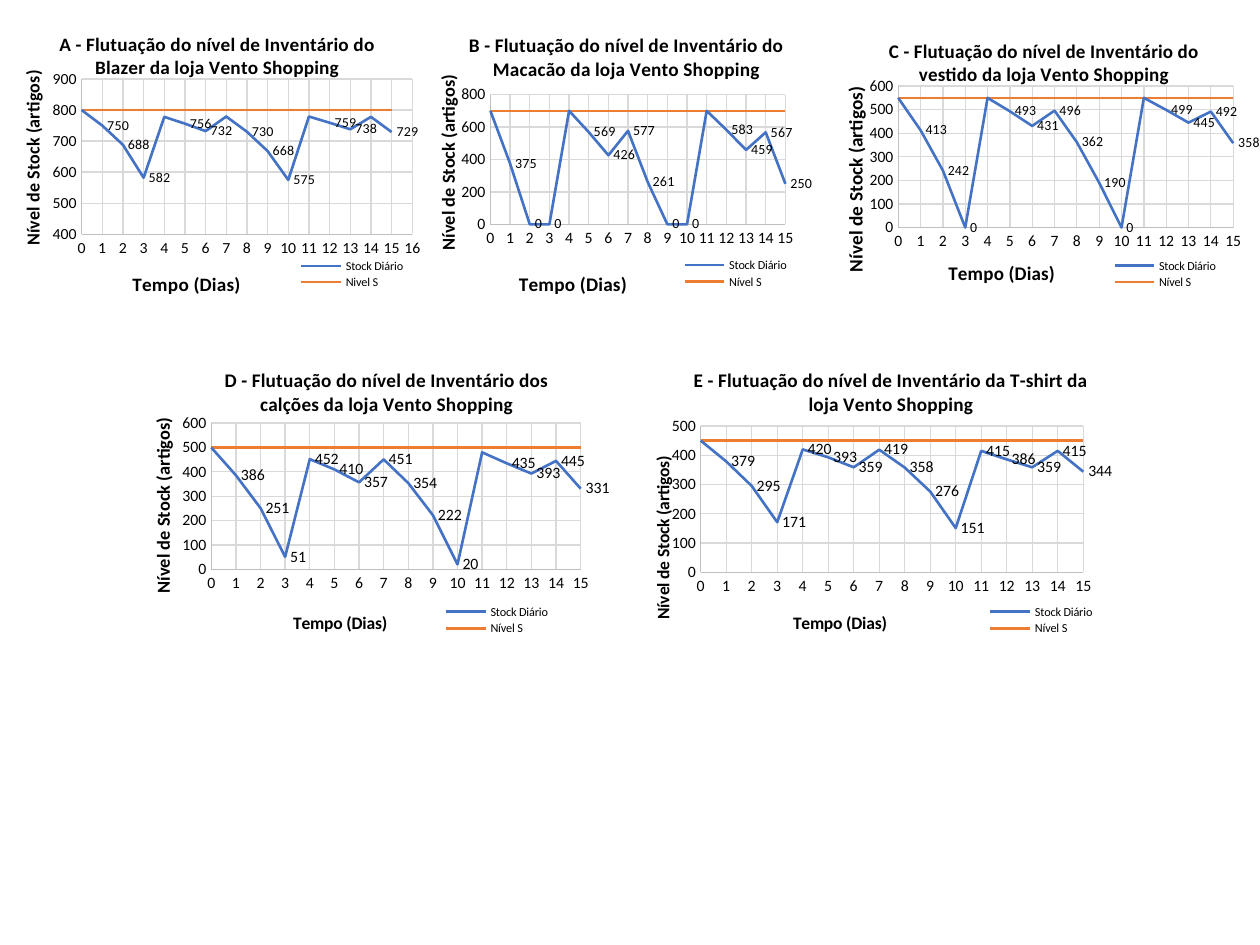
from pptx import Presentation, util as u
from pptx.chart import data as chart_data, datalabel
from pptx.dml.color import RGBColor
from pptx.enum import chart as kinds
from pptx.oxml import parse_xml
from pptx.oxml.ns import nsdecls, qn

COLOURS = {"text": "000000", "axis": "BFBFBF", "grid": "D9D9D9",
           "stock": "4472C4", "level": "ED7D31"}
FONT = "Calibri"

CHARTS = [
    dict(title="A - Flutuação do nível de Inventário do Blazer da loja Vento Shopping",
         frame=(0, 8, 245.5, 165), plot=(0.19, 0.23, 0.77, 0.55), legend=(0.68, 0.86),
         title_at=(0.13, 0.05), x_title=(0.3, 0.9), y_title=(0.04, 0.2),
         sizes=(11, 10.5, 8), x_max=16, y_min=400, level="Nivel S",
         stock=[800, 750, 688, 582, 778, 756, 732, 779, 730, 668, 575, 779, 759, 738, 778, 729],
         unlabelled=(0, 4, 7, 11, 14)),
    dict(title="B - Flutuação do nível de Inventário do Macacão da loja Vento Shopping",
         frame=(237.5, 8, 237.5, 165), plot=(0.18, 0.28, 0.71, 0.45), legend=(0.63, 0.84),
         title_at=(0.12, 0.05), x_title=(0.24, 0.88), y_title=(0.04, 0.2),
         sizes=(11, 10.5, 8), x_max=15, y_min=None, level="Nível S",
         stock=[700, 375, 0, 0, 700, 569, 426, 577, 261, 0, 0, 700, 583, 459, 567, 250],
         unlabelled=(0, 4, 11)),
    dict(title="C - Flutuação do nível de Inventário do vestido da loja Vento Shopping",
         frame=(474.5, 8, 245.5, 165), plot=(0.16, 0.25, 0.79, 0.49), legend=(0.65, 0.84),
         title_at=(0.13, 0.07), x_title=(0.27, 0.84), y_title=(0.02, 0.23),
         sizes=(11, 11, 8), x_max=15, y_min=None, level="Nível S",
         stock=[550, 413, 242, 0, 550, 493, 431, 496, 362, 190, 0, 550, 499, 445, 492, 358],
         unlabelled=(0, 4, 11)),
    dict(title="D - Flutuação do nível de Inventário dos calções da loja Vento Shopping",
         frame=(78.5, 197.5, 281.5, 170.5), plot=(0.15, 0.26, 0.75, 0.49), legend=(0.59, 0.86),
         title_at=(0.17, 0.06), x_title=(0.31, 0.88), y_title=(0.02, 0.23),
         sizes=(10, 10.5, 9), x_max=15, y_min=None, level="Nível S",
         stock=[500, 386, 251, 51, 452, 410, 357, 451, 354, 222, 20, 480, 435, 393, 445, 331],
         unlabelled=(0, 11)),
    dict(title="E - Flutuação do nível de Inventário da T-shirt da loja Vento Shopping",
         frame=(355.5, 197.5, 299.5, 170.5), plot=(0.15, 0.27, 0.73, 0.49), legend=(0.66, 0.86),
         title_at=(0.13, 0.06), x_title=(0.32, 0.88), y_title=(0.05, 0.36),
         sizes=(10, 10, 9), x_max=15, y_min=None, level="Nível S",
         stock=[450, 379, 295, 171, 420, 393, 359, 419, 358, 276, 151, 415, 386, 359, 415, 344],
         unlabelled=(0,)),
]


def set_values(target, values):
    for name, value in values.items():
        setattr(target, name, value)


def style_font(font, size, bold=False):
    set_values(font, {"name": FONT, "size": u.Pt(size), "bold": bold})
    font.color.rgb = RGBColor.from_string(COLOURS["text"])


def style_line(line, colour, width):
    line.color.rgb = RGBColor.from_string(COLOURS[colour])
    line.width = u.Pt(width)


def place(element, index, box, inner=False):
    for layout in element.findall(qn("c:layout")):
        element.remove(layout)
    target = '<c:layoutTarget val="inner"/>' if inner else ""
    modes = "".join(f'<c:{side}Mode val="edge"/>' for side in "xy")
    values = "".join(f'<c:{side} val="{value}"/>' for side, value in zip("xywh", box))
    element.insert(index, parse_xml(
        f'<c:layout {nsdecls("c")}><c:manualLayout>{target}{modes}{values}'
        "</c:manualLayout></c:layout>"))


def write_title(title, words, size, position, rotation=0):
    frame = title.text_frame
    frame.text = words
    style_font(frame.paragraphs[0].runs[0].font, size, True)
    frame._txBody.bodyPr.set("rot", str(rotation * 60000))
    place(title._element, 1, position)


def style_axis(axis, limits):
    set_values(axis, {"has_major_gridlines": True, "has_minor_gridlines": False,
                      "major_tick_mark": kinds.XL_TICK_MARK.NONE,
                      "minor_tick_mark": kinds.XL_TICK_MARK.NONE, **limits})
    style_line(axis.format.line, "axis", 0.75)
    style_line(axis.major_gridlines.format.line, "grid", 0.75)
    style_font(axis.tick_labels.font, 9)


def label_series(series, size, unlabelled):
    element = series._element.get_or_add_dLbls()
    labels = datalabel.DataLabels(element)
    set_values(labels, {"show_value": True, "position": kinds.XL_LABEL_POSITION.RIGHT})
    style_font(labels.font, size)
    for index, day in enumerate(unlabelled):
        element.insert(index, parse_xml(
            f'<c:dLbl {nsdecls("c")}><c:idx val="{day}"/><c:delete val="1"/></c:dLbl>'))


def add_stock_chart(slide, settings):
    stock = settings["stock"]
    values = chart_data.XyChartData()
    for name, levels in (("Stock Diário", stock), (settings["level"], [stock[0]] * len(stock))):
        series = values.add_series(name)
        for day, level in enumerate(levels):
            series.add_data_point(day, level)
    chart = slide.shapes.add_chart(
        kinds.XL_CHART_TYPE.XY_SCATTER_LINES_NO_MARKERS,
        *map(u.Pt, settings["frame"]), values).chart
    style_font(chart.font, 10)
    plot = chart.plots[0]
    plot.vary_by_categories = False
    for series, colour in zip(plot.series, ("stock", "level")):
        style_line(series.format.line, colour, 1.5)

    x_size, y_size, label_size = settings["sizes"]
    label_series(plot.series[0], label_size, settings["unlabelled"])
    chart.has_title = True
    write_title(chart.chart_title, settings["title"], 11, settings["title_at"])
    days, level = chart.category_axis, chart.value_axis
    style_axis(days, {"minimum_scale": 0, "maximum_scale": settings["x_max"], "major_unit": 1})
    style_axis(level, {"minimum_scale": settings["y_min"]})
    write_title(days.axis_title, "Tempo (Dias)", x_size, settings["x_title"])
    write_title(level.axis_title, "Nível de Stock (artigos)", y_size, settings["y_title"], -90)

    chart.has_legend = True
    set_values(chart.legend, {"position": kinds.XL_LEGEND_POSITION.RIGHT,
                              "include_in_layout": False})
    style_font(chart.legend.font, 7)
    place(chart.legend._element, 1, (*settings["legend"], 0.28, 0.12))
    place(chart._chartSpace.chart.plotArea, 0, settings["plot"], True)


def main():
    presentation = Presentation()
    set_values(presentation, {"slide_width": u.Pt(720), "slide_height": u.Pt(540)})
    slide = presentation.slides.add_slide(presentation.slide_layouts[6])
    for settings in CHARTS:
        add_stock_chart(slide, settings)
    presentation.save("out.pptx")


main()
